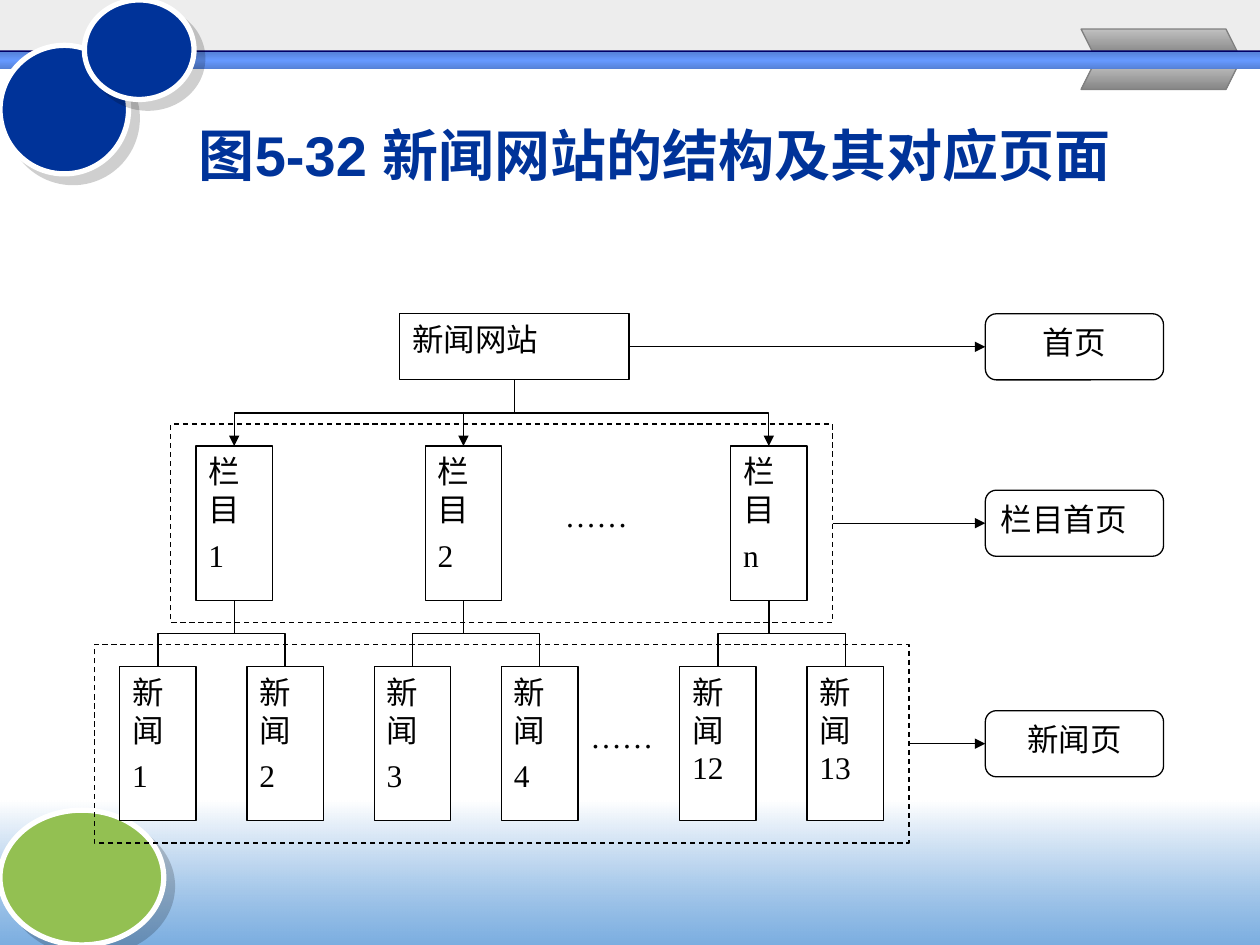
from dataclasses import dataclass
from typing import NamedTuple

from lxml import etree
from pptx import Presentation
from pptx import util as u
from pptx.dml.color import RGBColor
from pptx.enum import dml, shapes, text
from pptx.oxml.ns import qn

WIDTH, HEIGHT = 10, 7.5
NAVY, BLACK, WHITE = "003399", "000000", "FFFFFF"
SHAPE, ALIGN = shapes.MSO_SHAPE, text.PP_ALIGN
HANG = 0.38


@dataclass(frozen=True)
class Grid:
    left: float
    top: float
    col: float
    row: float

    def x(self, cols: float) -> int:
        return u.Inches(self.left + cols * self.col)

    def y(self, rows: float) -> int:
        return u.Inches(self.top + rows * self.row)

    def box(self, x: float, y: float, w: float, h: float) -> tuple:
        return (self.x(x), self.y(y),
                u.Inches(w * self.col), u.Inches(h * self.row))


PAGE = Grid(0, 0, WIDTH / 100, HEIGHT / 100)       # percent of the slide
TREE = Grid(0.95, 2.49, (7.82 - 0.95) / 34, 0.175)  # site diagram


class Node(NamedTuple):
    col: float
    lines: tuple


class Page(NamedTuple):
    row: float
    label: str
    align: int
    arrow_col: float


class Disc(NamedTuple):
    box: tuple
    color: str
    turn: float = 0


COLUMNS = [Node(3, ("栏目", "1")), Node(12, ("栏目", "2")), Node(24, ("栏目", "n"))]
NEWS = [Node(0, ("新闻", "1")), Node(5, ("新闻", "2")),
        Node(10, ("新闻", "3")), Node(15, ("新闻", "4")),
        Node(22, ("新闻12",)), Node(27, ("新闻13",))]
PAGES = [Page(0, "首页", ALIGN.CENTER, 20), Page(8, "栏目首页", ALIGN.JUSTIFY, 28),
         Page(18, "新闻页", ALIGN.CENTER, 31)]
DISCS = [Disc((0, 85.73, 13, 14.27), "93C052"), Disc((0, 4.8, 10.2, 13.6), NAVY, 26.8),
         Disc((6.7, 0, 8.7, 10.53), NAVY)]
NODE_W, NODE_H = 3, 7
COLUMN_ROW, NEWS_ROW = 6, 16


def rgb(color: str) -> RGBColor:
    return RGBColor.from_string(color)


def sub(parent, tag: str, **attrs):
    return etree.SubElement(parent, qn(tag), attrs)


def set_alpha(clr, percent: int) -> None:
    sub(clr, "a:alpha", val=str(percent * 1000))


def paint(sp, fill=None, line=None, width=0.75, alpha=None) -> None:
    """Fill with a colour, or with (position, colour, alpha) stops top to bottom."""
    sp.shadow.inherit = False
    if isinstance(fill, list):
        sp.fill.gradient()
        sp.fill.gradient_angle = 270
        stops = sp._element.spPr.find(".//" + qn("a:gsLst"))
        for stop in list(stops):
            stops.remove(stop)
        for pos, color, opacity in fill:
            gs = sub(stops, "a:gs", pos=str(pos * 1000))
            set_alpha(sub(gs, "a:srgbClr", val=color), opacity)
    elif fill:
        sp.fill.solid()
        sp.fill.fore_color.rgb = rgb(fill)
        if alpha:
            set_alpha(sp._element.spPr.find(".//" + qn("a:srgbClr")), alpha)
    else:
        sp.fill.background()
    if line:
        sp.line.color.rgb = rgb(line)
        sp.line.width = u.Pt(width)
    else:
        sp.line.fill.background()


def add_box(s, box: tuple, kind=SHAPE.RECTANGLE, **look):
    sp = s.shapes.add_shape(kind, *box)
    paint(sp, **look)
    return sp


def write(sp, lines: tuple, align=ALIGN.JUSTIFY, anchor=text.MSO_ANCHOR.TOP,
          hang=0, before=4.5, **font) -> None:
    tf = sp.text_frame
    tf.word_wrap, tf.vertical_anchor = True, anchor
    style = {"name": "Times New Roman", "size": u.Pt(18), "bold": False, **font}
    color = style.pop("color", BLACK)
    for i, line in enumerate(lines):
        p = tf.add_paragraph() if i else tf.paragraphs[0]
        p.alignment, p.space_before = align, u.Pt(before)
        if hang:
            pPr = p._p.get_or_add_pPr()
            pPr.set("marL", str(u.Inches(hang)))
            pPr.set("indent", str(-u.Inches(hang)))
        r = p.add_run()
        r.text = line
        r.font.color.rgb = rgb(color)
        for name, value in style.items():
            setattr(r.font, name, value)


def style_line(cn, arrow: bool) -> None:
    cn.line.color.rgb = rgb(BLACK)
    cn.line.width = u.Pt(0.75)
    if arrow:
        sub(cn.line._get_or_add_ln(), "a:tailEnd", type="triangle")
    sub(cn._element.spPr, "a:effectLst")


def branch(s, x1: float, y1: float, x2: float, y2: float, arrow=False) -> None:
    """Elbow that leaves downwards: a sideways elbow turned about its centre."""
    ax, ay, bx, by = TREE.x(x1), TREE.y(y1), TREE.x(x2), TREE.y(y2)
    cx, cy = (ax + bx) // 2, (ay + by) // 2
    half_w, half_h = (by - ay) // 2, abs(bx - ax) // 2
    side = 1 if bx > ax else -1
    cn = s.shapes.add_connector(shapes.MSO_CONNECTOR.ELBOW, cx + side * half_w,
                                cy - half_h, cx - side * half_w, cy + half_h)
    cn._element.spPr.find(qn("a:xfrm")).set("rot", str((180 + 90 * side) * 60000))
    style_line(cn, arrow)


def draw_backdrop(s) -> None:
    add_box(s, PAGE.box(0, 0, 100, 6.93), fill="EAEAEA", alpha=81)
    add_box(s, PAGE.box(0, 84.67, 100, 15.33),
            fill=[(0, WHITE, 100), (100, "5E9CDA", 81)])
    # Folded ribbon behind the bar
    for outer, inner in ((3.07, 5.73), (9.47, 6.8)):
        fb = s.shapes.build_freeform(PAGE.x(97.3), PAGE.y(outer))
        fb.add_line_segments([(PAGE.x(x), PAGE.y(y)) for x, y in
                              ((98.3, inner), (86.8, inner), (85.8, outer))])
        paint(fb.convert_to_shape(), line="808080",
              fill=[(0, "C0C0C0", 100), (100, "868686", 100)])
    # Blue bar with a dark edge
    add_box(s, PAGE.box(0, 5.33, 100, 1.87), fill="000066")
    add_box(s, PAGE.box(0, 5.47, 100, 1.87),
            fill=[(0, "5580D5", 100), (50, "6699FF", 100), (100, "5580D5", 100)])
    # Discs with soft shadows
    for disc in DISCS:
        sp = add_box(s, PAGE.box(*disc.box), SHAPE.OVAL,
                     fill=disc.color, line=WHITE, width=3)
        sp.rotation = disc.turn
        shadow = sub(sp._element.spPr.find(qn("a:effectLst")), "a:outerShdw",
                     dist=str(u.Pt(7.1)), dir="2700000", algn="ctr", rotWithShape="0")
        set_alpha(sub(shadow, "a:srgbClr", val=BLACK), 19)


def draw_tree(s) -> None:
    # Dashed frames around the two levels
    for frame in ((2, 5, 26, 9), (-1, 15, 32, 9)):
        add_box(s, TREE.box(*frame), line=BLACK).line.dash_style = dml.MSO_LINE.DASH
    # Site, columns and news
    site = add_box(s, TREE.box(11, 0, 9, 3), fill=WHITE, line=BLACK)
    write(site, ("新闻网站",), hang=HANG)
    for row, nodes in ((COLUMN_ROW, COLUMNS), (NEWS_ROW, NEWS)):
        for node in nodes:
            sp = add_box(s, TREE.box(node.col, row, NODE_W, NODE_H), fill=WHITE, line=BLACK)
            write(sp, node.lines)
    for col, row in ((17, 8), (18, 18)):
        write(s.shapes.add_textbox(*TREE.box(col, row, 5, 3)), ("……",), hang=HANG)
    # Branches: each column has two news boxes
    mid = NODE_W / 2
    for i, column in enumerate(COLUMNS):
        branch(s, 15.5, 3, column.col + mid, COLUMN_ROW, arrow=True)
        for news in NEWS[2 * i:2 * i + 2]:
            branch(s, column.col + mid, COLUMN_ROW + NODE_H, news.col + mid, NEWS_ROW)
    # Matching pages
    for page in PAGES:
        sp = add_box(s, TREE.box(34, page.row, 7, 3), SHAPE.ROUNDED_RECTANGLE,
                     fill=WHITE, line=BLACK)
        write(sp, (page.label,), page.align, hang=HANG)
        y = TREE.y(page.row + 1.5)
        style_line(s.shapes.add_connector(shapes.MSO_CONNECTOR.STRAIGHT,
                                          TREE.x(page.arrow_col), y, TREE.x(34), y), True)


def main() -> None:
    prs = Presentation()
    prs.slide_width, prs.slide_height = u.Inches(WIDTH), u.Inches(HEIGHT)
    s = prs.slides.add_slide(prs.slide_layouts[6])
    draw_backdrop(s)
    title = s.shapes.add_textbox(*PAGE.box(13.8, 11.2, 76.4, 10.27))
    write(title, ("图5-32 新闻网站的结构及其对应页面",), ALIGN.CENTER, text.MSO_ANCHOR.MIDDLE,
          before=0, name="Arial", size=u.Pt(32), bold=True, color=NAVY)
    draw_tree(s)
    prs.save("out.pptx")


if __name__ == "__main__":
    main()
